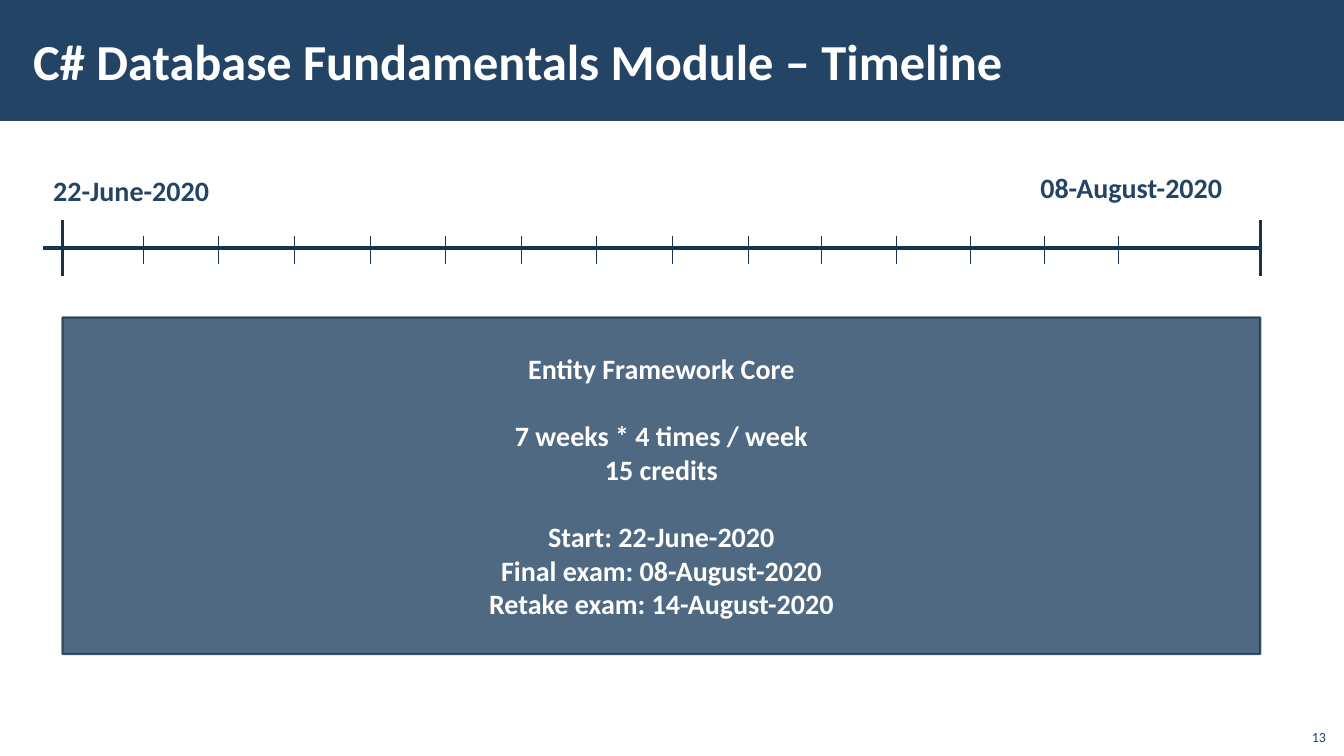
from lxml import etree
from pptx import Presentation, util as u
from pptx.dml.color import RGBColor
from pptx.enum import shapes, text
from pptx.oxml.ns import qn

NAVY, DARK, WHITE = "234465", "1A334C", "FFFFFF"
LEFT, CENTER, RIGHT = text.PP_ALIGN.LEFT, text.PP_ALIGN.CENTER, text.PP_ALIGN.RIGHT
MIDDLE = text.MSO_ANCHOR.MIDDLE


def rgb(value):
    return RGBColor.from_string(value)


class Deck:
    """Holds the style and the current slide; 100 px make one inch."""
    FONT = "Calibri"
    PX = 9144

    def __init__(self, width, height):
        self.prs = Presentation()
        self.prs.slide_width, self.prs.slide_height = self.emu(width, height)
        self.s = self.prs.slides.add_slide(self.prs.slide_layouts[6])

    def emu(self, *lengths):
        return [u.Emu(n * self.PX) for n in lengths]

    def set_text(self, sp, lines, size, color, bold=True, align=LEFT,
                 anchor=text.MSO_ANCHOR.TOP, gaps=()):
        tf = sp.text_frame
        tf.text = "\n".join(lines)
        tf.vertical_anchor = anchor
        for i, p in enumerate(tf.paragraphs):
            p.alignment = align
            if i in gaps:
                p.space_before = u.Pt(24)
            for r in p.runs:
                r.font.name, r.font.size, r.font.bold = self.FONT, u.Pt(size), bold
                r.font.color.rgb = rgb(color)

    def label(self, box, line, size, color, wrap=True, inset=10, **style):
        sp = self.s.shapes.add_textbox(*self.emu(*box))
        tf = sp.text_frame
        self.set_text(sp, [line], size, color, **style)
        tf.word_wrap = wrap
        tf.margin_left, tf.margin_right = self.emu(inset, inset)
        if not wrap:
            tf.auto_size = text.MSO_AUTO_SIZE.SHAPE_TO_FIT_TEXT

    def rect(self, box, fill, line=None, opacity=100):
        sp = self.s.shapes.add_shape(shapes.MSO_SHAPE.RECTANGLE, *self.emu(*box))
        sp.shadow.inherit = False
        sp.fill.solid()
        sp.fill.fore_color.rgb = rgb(fill)
        if line:
            sp.line.color.rgb = rgb(line)
            sp.line.width = u.Pt(1.5)
        else:
            sp.line.fill.background()
        if opacity < 100:
            for clr in sp._element.spPr.iter(qn("a:srgbClr")):
                etree.SubElement(clr, qn("a:alpha"), val=str(opacity * 1000))
        return sp

    def line(self, x1, y1, x2, y2, width):
        ln = self.s.shapes.add_connector(
            shapes.MSO_CONNECTOR.STRAIGHT, *self.emu(x1, y1, x2, y2))
        ln.line.color.rgb = rgb(DARK)
        ln.line.width = u.Pt(width)
        etree.SubElement(ln._element.spPr, qn("a:effectLst"))


def main():
    deck = Deck(1333, 750)

    # Title band
    deck.rect((0, 0, 1334, 120), NAVY)
    deck.label((21, 11, 1063, 97), "C# Database Fundamentals Module – Timeline",
               36, WHITE, inset=12, anchor=MIDDLE)

    # Course summary
    start, end, axis_y = 62, 1250, 246
    panel = deck.rect((start, 315, end - start, 334), NAVY, DARK, opacity=80)
    deck.set_text(panel, ["Entity Framework Core",
                          "7 weeks * 4 times / week",
                          "15 credits",
                          "Start: 22-June-2020",
                          "Final exam: 08-August-2020",
                          "Retake exam: 14-August-2020"],
                  20, WHITE, align=CENTER, anchor=MIDDLE, gaps=(1, 3))

    # Timeline axis with its end bars
    deck.line(43, axis_y, end, axis_y, 2.25)
    for x in (start, end):
        deck.line(x, axis_y - 28, x, axis_y + 28, 2.25)

    # Ticks: equal steps, slightly tighter after the ninth
    ticks = [142 + 75 * i for i in range(9)]
    ticks += [ticks[-1] + 147 * i // 2 for i in range(1, 6)]
    for x in ticks:
        deck.line(x, axis_y - 12, x, axis_y + 16, 0.5)

    # Dates
    deck.label((43, 167, 176, 44), "22-June-2020", 20, NAVY, wrap=False)
    deck.label((1022, 164, 204, 44), "08-August-2020", 20, NAVY, wrap=False)

    # Slide number
    deck.label((1285, 712, 40, 32), "13", 10, NAVY, bold=False, align=RIGHT,
               anchor=text.MSO_ANCHOR.BOTTOM)

    deck.prs.save("out.pptx")


if __name__ == "__main__":
    main()
